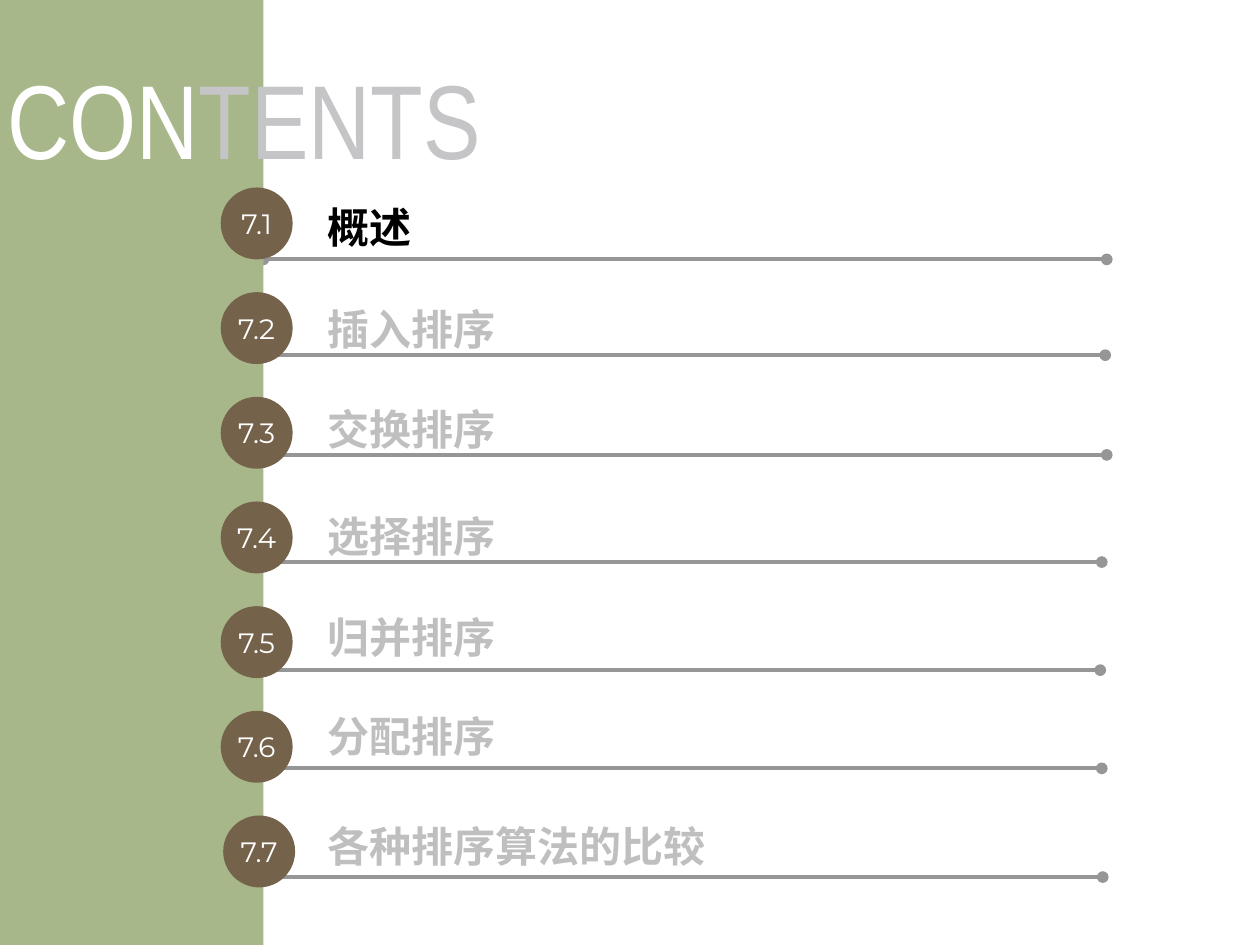
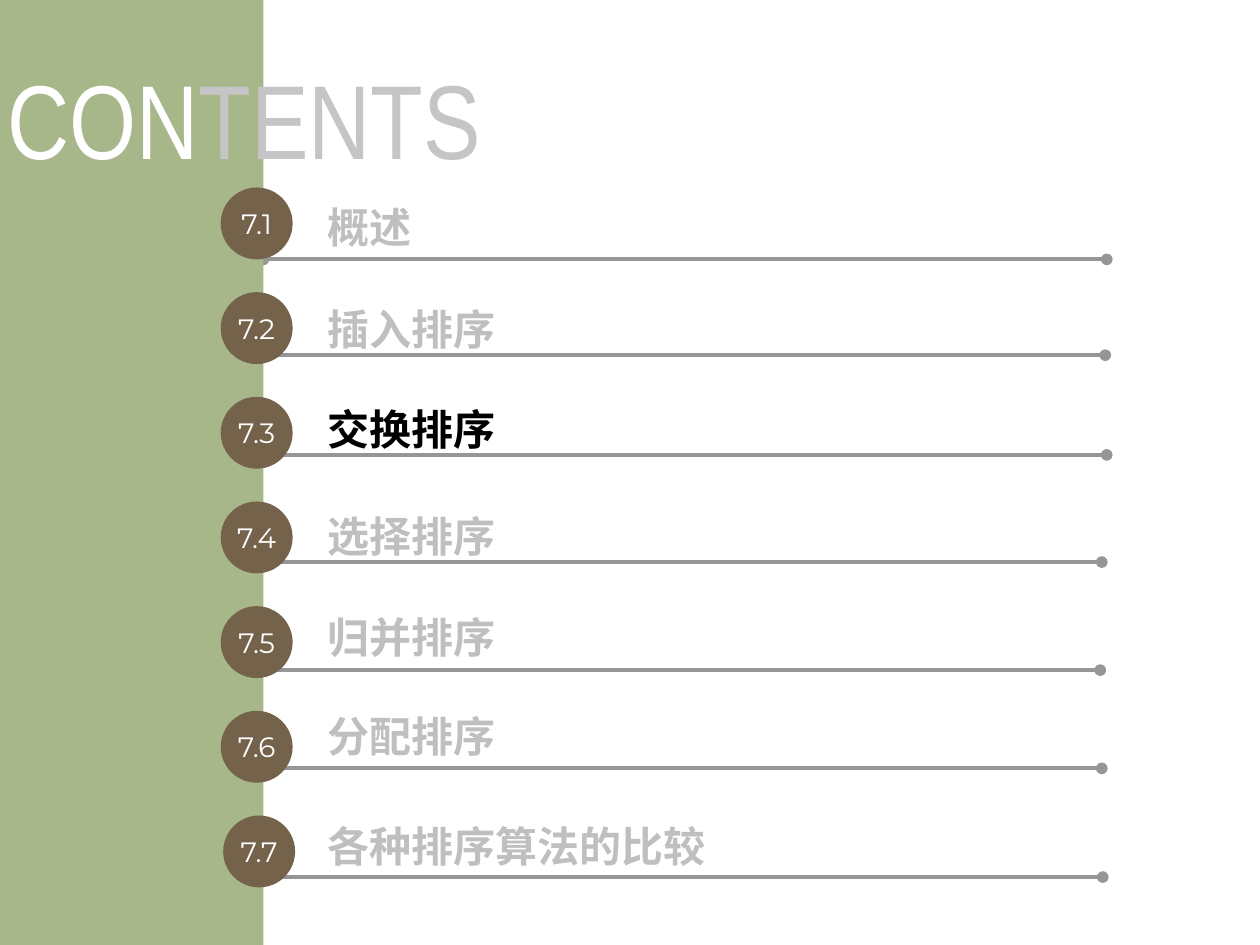
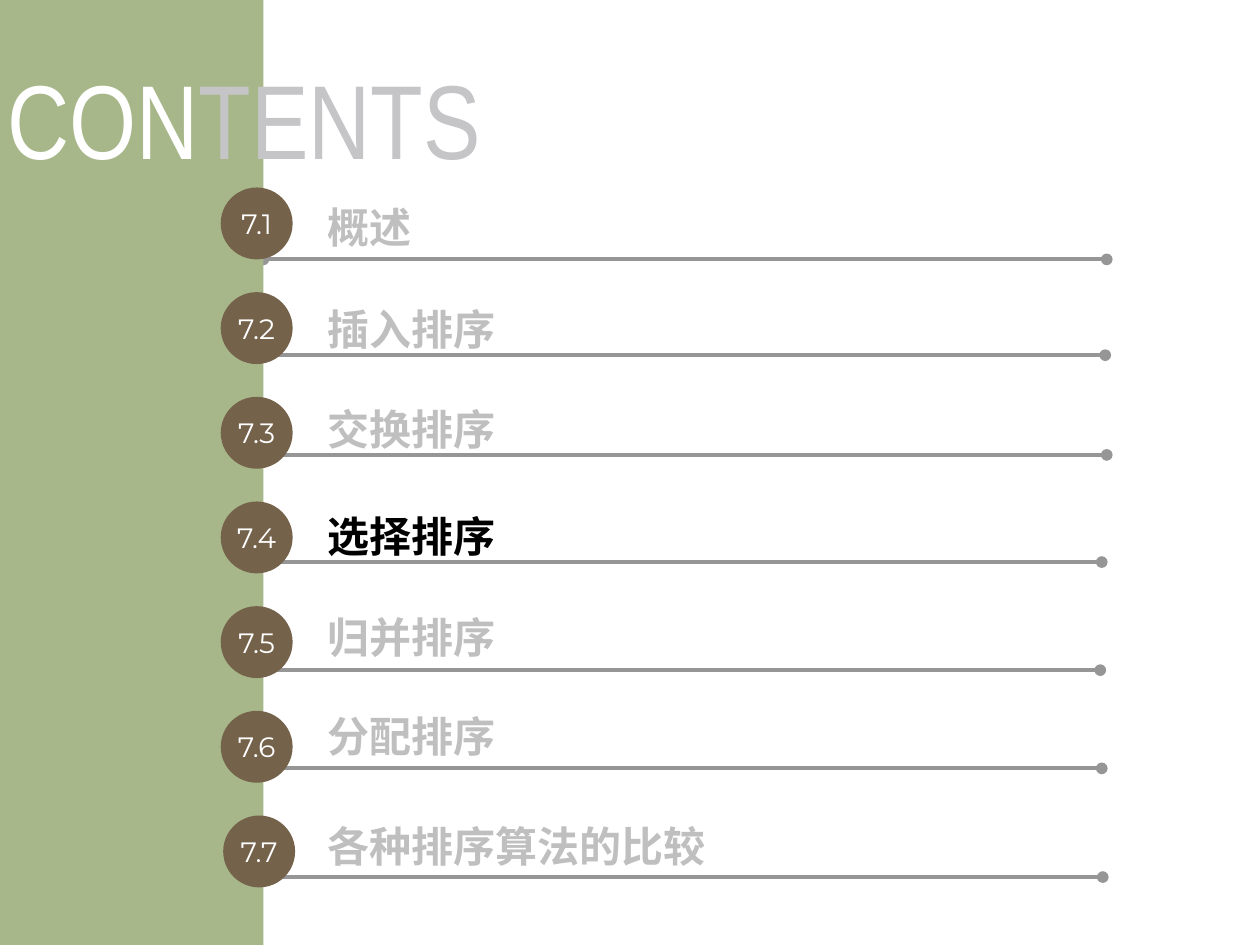
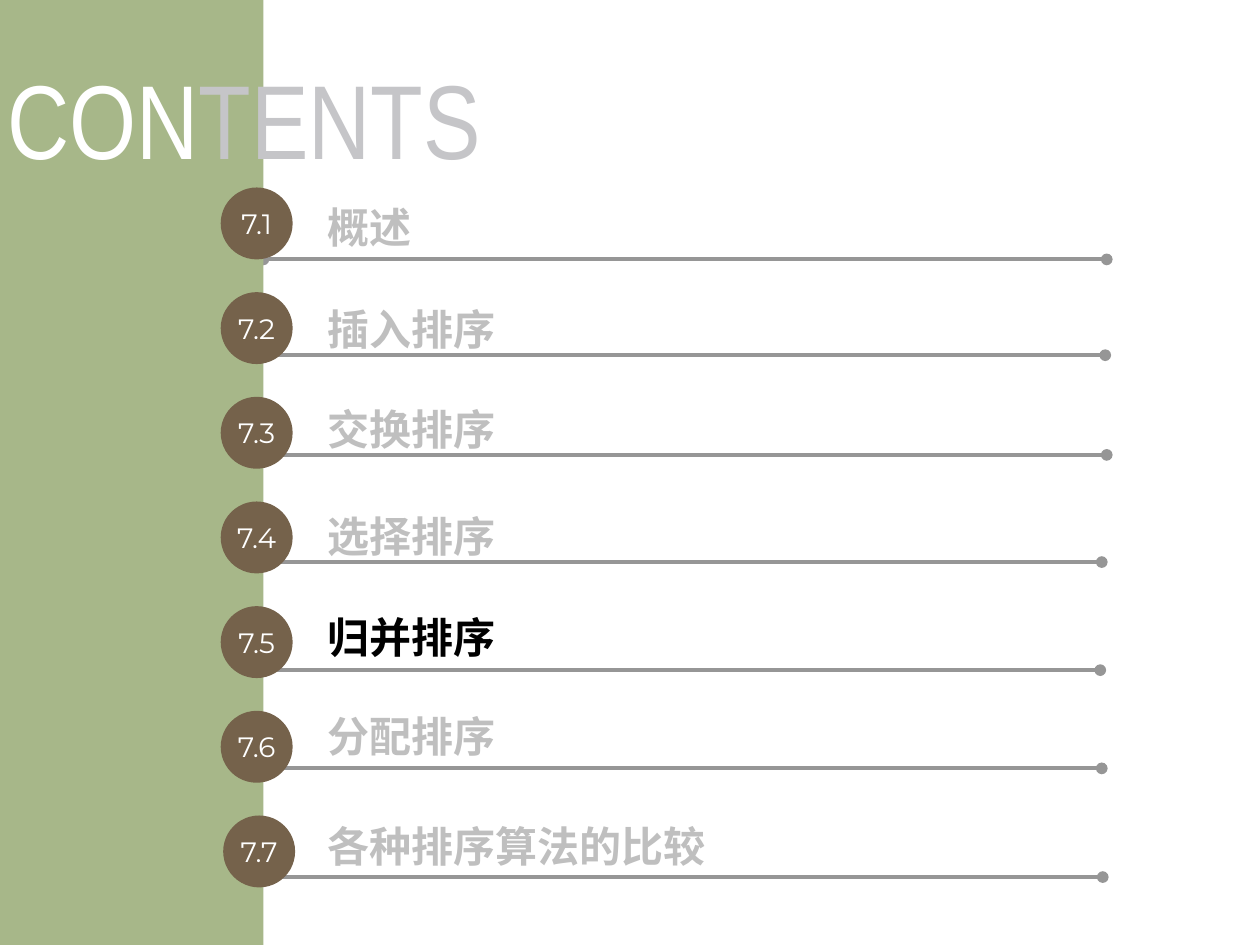
from dataclasses import dataclass

from lxml import etree
from pptx import Presentation
from pptx.dml.color import RGBColor
from pptx.enum import shapes, text
from pptx.oxml.ns import qn
from pptx.util import Cm, Pt


@dataclass(frozen=True)
class Theme:
    band: RGBColor = RGBColor.from_string("A7B789")
    badge: RGBColor = RGBColor.from_string("75624B")
    rule: RGBColor = RGBColor.from_string("969696")
    light: RGBColor = RGBColor.from_string("FFFFFF")
    title: RGBColor = RGBColor.from_string("C5C5C8")
    active: RGBColor = RGBColor.from_string("000000")
    inactive: RGBColor = RGBColor.from_string("BFBFBF")
    title_font: str = "Arial Narrow"
    label_font: str = "Noto Sans CJK SC"
    badge_font: str = "Montserrat"
    title_size: Pt = Pt(60)
    label_size: Pt = Pt(24)
    badge_size: Pt = Pt(16)
    rule_width: Pt = Pt(2.25)


@dataclass(frozen=True)
class Box:
    """A rectangle measured in centimetres."""
    left: float
    top: float
    width: float
    height: float

    def lengths(self):
        return Cm(self.left), Cm(self.top), Cm(self.width), Cm(self.height)


@dataclass(frozen=True)
class Section:
    """A contents entry; shifts and drops are centimetres from its row's corner."""
    number: str
    name: str
    label_drop: float
    label_width: float
    rule_shift: float
    rule_drop: float
    badge_shift: float = 0


THEME = Theme()
SLIDE = Box(0, 0, 25.4, 19.05)
BAND = Box(0, 0, 5.31, SLIDE.height)
TITLE = Box(-0.1, 0.89, 12.4, 2.95)
FIRST_ROW = Box(4.45, 3.78, 17.85, 1.45)
ROW_PITCH = 2.11
LABEL_SHIFT = 1.9
LABEL_HEIGHT = 1.02
RULE_LENGTH = 17

SECTIONS = [
    Section("7.1", "概述", 0.28, 9.04, 0.86, 1.45),
    Section("7.2", "插入排序", 0.23, 6.48, 0.83, 1.27),
    Section("7.3", "交换排序", 0.13, 8.23, 0.86, 1.17),
    Section("7.4", "选择排序", 0.18, 7.47, 0.76, 1.22),
    Section("7.5", "归并排序", 0.1, 10.44, 0.73, 1.29),
    Section("7.6", "分配排序", 0, 10.95, 0.76, 1.16),
    Section("7.7", "各种排序算法的比较", 0.1, 10.44, 0.78, 1.24, 0.05),
]
ACTIVE_SECTIONS = ["7.1", "7.3", "7.4", "7.5"]


def style_font(font, name, size, color, bold=False):
    font.name, font.size, font.bold = name, size, bold
    font.color.rgb = color


def add_filled_shape(slide, kind, box, color):
    shape = slide.shapes.add_shape(kind, *box.lengths())
    shape.shadow.inherit = False
    shape.fill.solid()
    shape.fill.fore_color.rgb = color
    shape.line.fill.background()
    return shape


def add_text_frame(slide, box):
    frame = slide.shapes.add_textbox(*box.lengths()).text_frame
    frame.word_wrap = True
    frame.vertical_anchor = text.MSO_ANCHOR.MIDDLE
    return frame


def add_rule(slide, row, section):
    """Draw the line under a section, with a dot at each end."""
    left, top = row.left + section.rule_shift, row.top + section.rule_drop
    rule = slide.shapes.add_connector(
        shapes.MSO_CONNECTOR.STRAIGHT,
        Cm(left), Cm(top), Cm(left + RULE_LENGTH), Cm(top))
    rule.line.color.rgb = THEME.rule
    rule.line.width = THEME.rule_width
    properties = rule.line.fill._xPr
    for end in ("a:headEnd", "a:tailEnd"):
        etree.SubElement(properties, qn(end), type="oval")
    etree.SubElement(rule._element.spPr, qn("a:effectLst"))


def add_label(slide, row, section, color):
    frame = add_text_frame(slide, Box(
        row.left + LABEL_SHIFT, row.top + section.label_drop,
        section.label_width, LABEL_HEIGHT))
    paragraph = frame.paragraphs[0]
    paragraph.text = section.name
    style_font(paragraph.font, THEME.label_font, THEME.label_size, color, bold=True)
    east_asian = etree.Element(qn("a:ea"), typeface=THEME.label_font)
    paragraph.font._element.find(qn("a:latin")).addnext(east_asian)


def add_badge(slide, row, section):
    badge = add_filled_shape(
        slide, shapes.MSO_SHAPE.OVAL,
        Box(row.left + section.badge_shift, row.top, row.height, row.height),
        THEME.badge)
    frame = badge.text_frame
    frame.margin_left = frame.margin_right = 0
    frame.margin_top = frame.margin_bottom = 0
    frame.vertical_anchor = text.MSO_ANCHOR.MIDDLE
    paragraph = frame.paragraphs[0]
    paragraph.text = section.number
    paragraph.alignment = text.PP_ALIGN.CENTER
    style_font(paragraph.font, THEME.badge_font, THEME.badge_size, THEME.light)


def add_title(slide, box):
    paragraph = add_text_frame(slide, box).paragraphs[0]
    for letters, color in (("CON", THEME.light), ("TENTS", THEME.title)):
        run = paragraph.add_run()
        run.text = letters
        style_font(run.font, THEME.title_font, THEME.title_size, color)


def add_contents_slide(presentation, active_number):
    slide = presentation.slides.add_slide(presentation.slide_layouts[6])
    rows = [
        (Box(FIRST_ROW.left, FIRST_ROW.top + index * ROW_PITCH,
             FIRST_ROW.width, FIRST_ROW.height), section)
        for index, section in enumerate(SECTIONS)
    ]
    for row, section in rows:
        is_active = section.number == active_number
        add_rule(slide, row, section)
        add_label(slide, row, section, THEME.active if is_active else THEME.inactive)
    add_filled_shape(slide, shapes.MSO_SHAPE.RECTANGLE, BAND, THEME.band)
    add_title(slide, TITLE)
    for row, section in rows:
        add_badge(slide, row, section)


def main():
    presentation = Presentation()
    presentation.slide_width, presentation.slide_height = Cm(SLIDE.width), Cm(SLIDE.height)
    for number in ACTIVE_SECTIONS:
        add_contents_slide(presentation, number)
    presentation.save("out.pptx")


if __name__ == "__main__":
    main()
